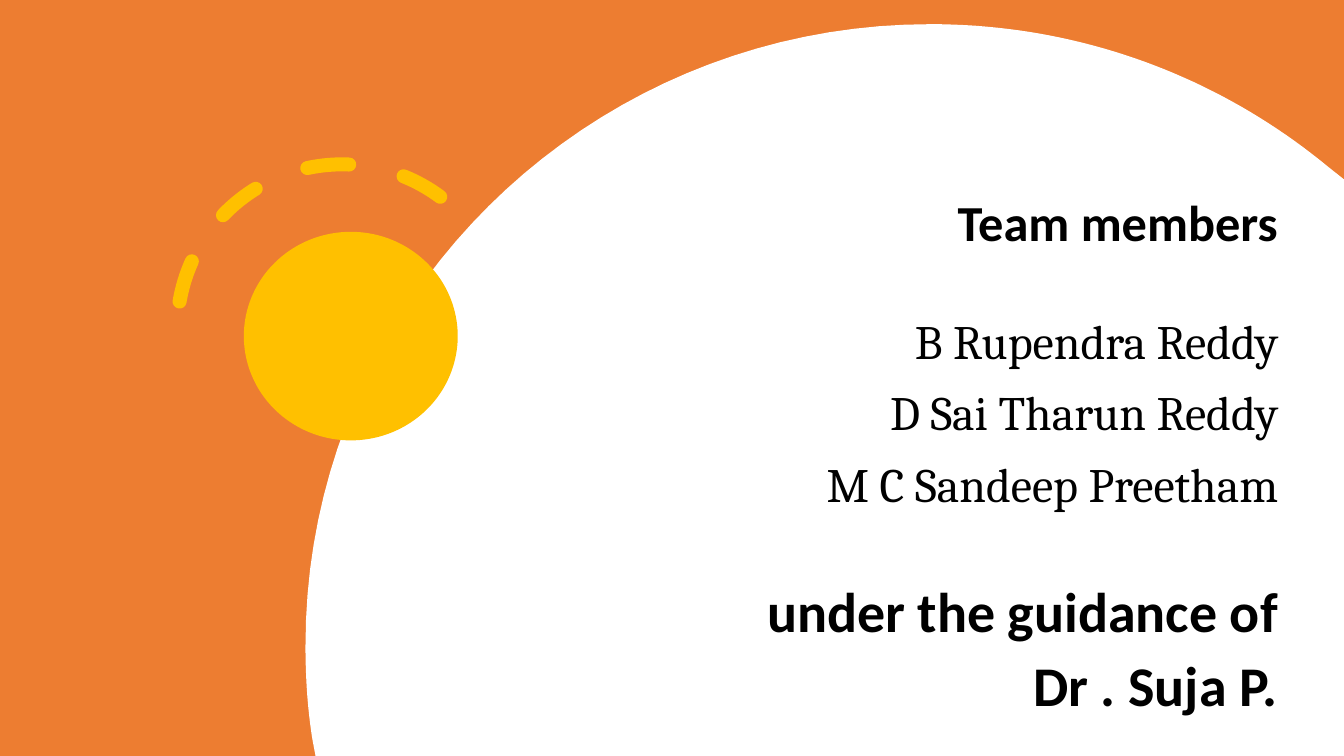
from pptx import Presentation
from pptx.dml import color
from pptx.enum import dml, shapes, text
from pptx.oxml import ns
from pptx.util import Pt

COLORS = {"orange": "ED7D31", "white": "FFFFFF", "gold": "FFC000", "ink": "000000"}
PAGE = (0, 0, 960, 540)
CURVE_STEPS = 40


def rgb(name):
    """Return the named colour."""
    return color.RGBColor.from_string(COLORS[name])


def paint(shape, fill):
    """Give a shape a plain fill without line or shadow."""
    shape.shadow.inherit = False
    shape.fill.solid()
    shape.fill.fore_color.rgb = rgb(fill)
    shape.line.fill.background()


def curve(start, first, second, end):
    """Return points along a cubic curve, without its start."""
    points = []
    for step in range(1, CURVE_STEPS + 1):
        t = step / CURVE_STEPS
        weights = ((1 - t) ** 3, 3 * t * (1 - t) ** 2, 3 * t * t * (1 - t), t ** 3)
        points.append(tuple(sum(w * p[axis] for w, p in
                                zip(weights, (start, first, second, end)))
                            for axis in (0, 1)))
    return points


def add_backdrop(page, box):
    """Draw the orange ground and the large white disc cut by the page edge."""
    left, top, width, height = box
    ground = page.shapes.add_shape(shapes.MSO_SHAPE.RECTANGLE, *map(Pt, box))
    paint(ground, "orange")
    crown, right_cut = (664.6, 17.3), (948.2, 118.8)
    left_cut, waist = (223.2, 528.5), (218.2, 460.8)
    outline = curve(crown, (772.6, 17.3), (871.2, 55.4), right_cut)
    outline += [(width, 128.2), (width, height), (225.4, height), left_cut]
    outline += curve(left_cut, (219.6, 506.2), (218.2, 483.8), waist)
    outline += curve(waist, (218.2, 216), (418.3, 17.3), crown)
    points = [(Pt(left + x), Pt(top + y)) for x, y in outline]
    builder = page.shapes.build_freeform(*points[-1])
    builder.add_line_segments(points[:-1], close=True)
    paint(builder.convert_to_shape(), "white")


def add_sun(page, box):
    """Draw the gold disc with its dashed arc."""
    left, top, size, _ = box
    disc = page.shapes.add_shape(shapes.MSO_SHAPE.OVAL, Pt(left + 47.5), Pt(top + 48.2),
                                 Pt(152.8), Pt(149))
    paint(disc, "gold")
    arc = page.shapes.add_shape(shapes.MSO_SHAPE.ARC, Pt(left), Pt(top), Pt(size), Pt(size))
    arc.shadow.inherit = False
    arc.adjustments[0], arc.adjustments[1] = 144.56, 2.28
    arc.rotation = 308.7
    arc.fill.background()
    arc.line.color.rgb = rgb("gold")
    arc.line.width = Pt(10)
    arc.line.dash_style = dml.MSO_LINE.DASH
    arc.element.spPr.find(ns.qn("a:ln")).set("cap", "rnd")


def prepare(holder, box, anchor, top_inset=3.6):
    """Place a placeholder and return its text frame."""
    holder.left, holder.top, holder.width, holder.height = map(Pt, box)
    frame = holder.text_frame
    frame.word_wrap = True
    frame.auto_size = text.MSO_AUTO_SIZE.NONE
    frame.vertical_anchor = anchor
    frame.margin_left = frame.margin_right = Pt(7.2)
    frame.margin_top, frame.margin_bottom = Pt(top_inset), Pt(3.6)
    return frame


def write(para, words, size, font="Calibri", bold=True, before=10, spacing=1.0):
    """Fill a right-aligned paragraph with formatted text."""
    para.alignment = text.PP_ALIGN.RIGHT
    para.space_before = Pt(before)
    para.line_spacing = spacing
    span = para.add_run()
    span.text = words
    span.font.name, span.font.size, span.font.bold = font, Pt(size), bold
    span.font.color.rgb = rgb("ink")


def add_team(page, box):
    """Write the heading and the member names in the title."""
    frame = prepare(page.shapes.title, box, text.MSO_ANCHOR.BOTTOM)
    write(frame.paragraphs[0], "Team members", 36)
    members = ("B Rupendra Reddy", "D Sai Tharun Reddy", "M C Sandeep Preetham")
    for index, member in enumerate(members):
        write(frame.add_paragraph(), member, 34.2, font="Cambria", bold=False,
              before=10 if index else 43)


def add_guide(page, box):
    """Write the guidance lines in the subtitle."""
    frame = prepare(page.placeholders[1], box, text.MSO_ANCHOR.TOP, top_inset=40.6)
    write(frame.paragraphs[0], "under the guidance of", 40, before=0, spacing=0.9)
    write(frame.add_paragraph(), "Dr . Suja P.", 40, spacing=0.9)


def main():
    """Build and save the deck."""
    deck = Presentation()
    deck.slide_width, deck.slide_height = Pt(PAGE[2]), Pt(PAGE[3])
    page = deck.slides.add_slide(deck.slide_layouts[0])
    holders = list(page.placeholders)
    add_backdrop(page, PAGE)
    add_sun(page, (126.7, 117.4, 235.4, 235.4))
    for holder in holders:
        page.shapes.element.append(holder.element)
    add_team(page, (318.2, 152.6, 601.9, 216.7))
    add_guide(page, (318.2, 376.6, 601.9, 104.4))
    deck.save("out.pptx")


if __name__ == "__main__":
    main()
